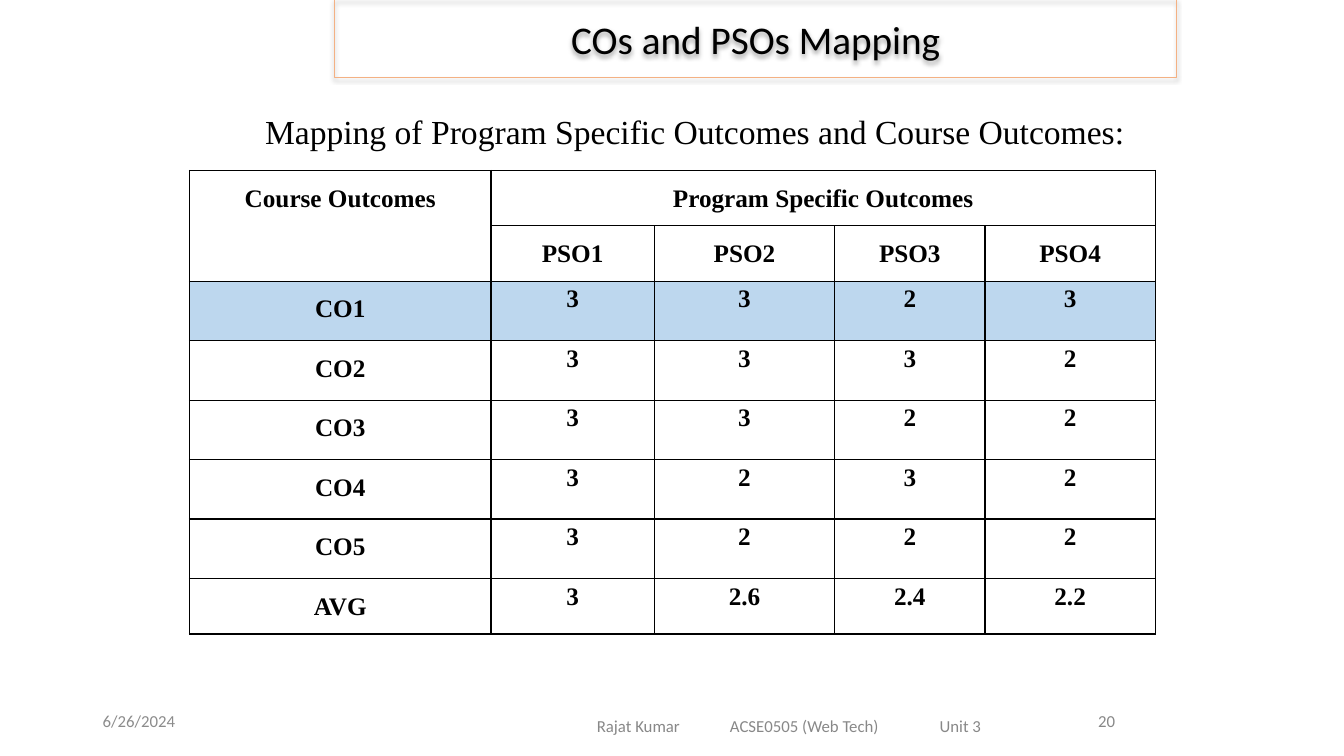
"""Build the slide that maps course outcomes to program specific outcomes."""
from lxml import etree
from pptx import Presentation
from pptx.dml.color import RGBColor
from pptx.enum.shapes import MSO_SHAPE
from pptx.enum.text import MSO_ANCHOR, PP_ALIGN
from pptx.oxml import parse_xml
from pptx.oxml.ns import nsdecls, qn
from pptx.util import Inches, Pt

RECT = MSO_SHAPE.RECTANGLE
TOP, MIDDLE = MSO_ANCHOR.TOP, MSO_ANCHOR.MIDDLE
LEFT, CENTER, RIGHT = PP_ALIGN.LEFT, PP_ALIGN.CENTER, PP_ALIGN.RIGHT

HUES = {"ink": "000000", "grey": "888888", "date": "8C8C8C",
        "edge": "F4B183", "band": "BDD7EE"}
SANS, SERIF = "Calibri", "Times New Roman"
COLS = [2.99, 1.62, 1.79, 1.49, 1.69]
ROWS = [0.55] * 2 + [0.59] * 5 + [0.55]
DATA = [
    ["Course Outcomes", "Program Specific Outcomes", "", "", ""],
    ["", "PSO1", "PSO2", "PSO3", "PSO4"],
    ["CO1", "3", "3", "2", "3"],
    ["CO2", "3", "3", "3", "2"],
    ["CO3", "3", "3", "2", "2"],
    ["CO4", "3", "2", "3", "2"],
    ["CO5", "3", "2", "2", "2"],
    ["AVG", "3", "2.6", "2.4", "2.2"],
]


def apply(item, values):
    for name, value in values.items():
        setattr(item, name, value)


class Deck:
    def __init__(self, slide):
        self.slide = slide

    def letter(self, frame, words, size, font, hue, align, **look):
        para = frame.paragraphs[0]
        para.alignment = align
        run = para.add_run()
        run.text = words
        apply(run.font, {"size": Pt(size), "name": font, **look})
        run.font.color.rgb = RGBColor.from_string(HUES[hue])
        return para

    def label(self, box, words, size, font, hue, align=LEFT, anchor=MIDDLE, inset=0.1):
        frame = self.slide.shapes.add_textbox(*map(Inches, box)).text_frame
        apply(frame, {"word_wrap": True, "vertical_anchor": anchor,
                      "margin_left": Inches(inset)})
        return self.letter(frame, words, size, font, hue, align)

    def banner(self, box, words):
        shape = self.slide.shapes.add_shape(RECT, *map(Inches, box))
        shape.fill.background()
        shape.line.color.rgb = RGBColor.from_string(HUES["edge"])
        shape.line.width = Pt(0.75)
        shape.shadow.inherit = False
        shape._element.spPr.find(qn("a:effectLst")).append(parse_xml(
            f'<a:outerShdw {nsdecls("a")} blurRad="40000" dist="20000" dir="5400000"'
            f' rotWithShape="0"><a:srgbClr val="{HUES["ink"]}"><a:alpha val="38000"/>'
            '</a:srgbClr></a:outerShdw>'))
        shape.text_frame.vertical_anchor = MIDDLE
        self.letter(shape.text_frame, words, 28, SANS, "ink", CENTER)

    def tabs(self, para, stops):
        props = para._p.get_or_add_pPr()
        tabs = etree.SubElement(props, qn("a:tabLst"))
        for stop in stops:
            etree.SubElement(tabs, qn("a:tab"), pos=str(Inches(stop)), algn="l")

    def border(self, cell):
        props = cell._tc.get_or_add_tcPr()
        for spot, side in enumerate("LRTB"):
            props.insert(spot, parse_xml(
                f'<a:ln{side} {nsdecls("a")} w="{Pt(1)}"><a:solidFill>'
                f'<a:srgbClr val="{HUES["ink"]}"/></a:solidFill></a:ln{side}>'))

    def grid(self, left, top):
        size = map(Inches, (left, top, sum(COLS), sum(ROWS)))
        table = self.slide.shapes.add_table(len(ROWS), len(COLS), *size).table
        apply(table, {"first_row": False, "horz_banding": False})
        for col, width in zip(table.columns, COLS):
            col.width = Inches(width)
        for row, height in zip(table.rows, ROWS):
            row.height = Inches(height)
        table.cell(0, 0).merge(table.cell(1, 0))
        table.cell(0, 1).merge(table.cell(0, 4))
        for r, line in enumerate(DATA):
            for c, words in enumerate(line):
                self.fill(table.cell(r, c), words, r == 2, r < 2 or c == 0)

    def fill(self, cell, words, band, head):
        side, edge = Inches(0.07), Inches(0.1 if head else 0)
        apply(cell, {"margin_left": side, "margin_right": side, "margin_top": edge,
                     "margin_bottom": edge, "vertical_anchor": TOP})
        if band:
            cell.fill.solid()
            cell.fill.fore_color.rgb = RGBColor.from_string(HUES["band"])
        else:
            cell.fill.background()
        self.border(cell)
        if words:
            para = self.letter(cell.text_frame, words, 18, SERIF, "ink", CENTER, bold=True)
            para.line_spacing = 1.15


def main():
    show = Presentation()
    apply(show, {"slide_width": Inches(13.33), "slide_height": Inches(7.5)})
    deck = Deck(show.slides.add_slide(show.slide_layouts[6]))
    deck.label((8.83, 6.95, 2.33, 0.4), "20", 12, SANS, "grey", RIGHT)
    deck.banner((3.32, 0, 8.35, 0.77), "COs and PSOs Mapping")
    foot = deck.label((4.33, 7, 5.5, 0.4), "Rajat Kumar\tACSE0505 (Web Tech)\tUnit 3",
                      12, SANS, "grey", inset=1.59)
    deck.tabs(foot, (1.32, 3.4))
    deck.grid(1.88, 1.69)
    deck.label((2.53, 1.05, 9.15, 0.91),
               "Mapping of Program Specific Outcomes and Course Outcomes:",
               24, SERIF, "ink", anchor=TOP)
    deck.label((0.92, 6.95, 3, 0.4), "6/26/2024", 12, SANS, "date")
    show.save("out.pptx")


if __name__ == "__main__":
    main()
